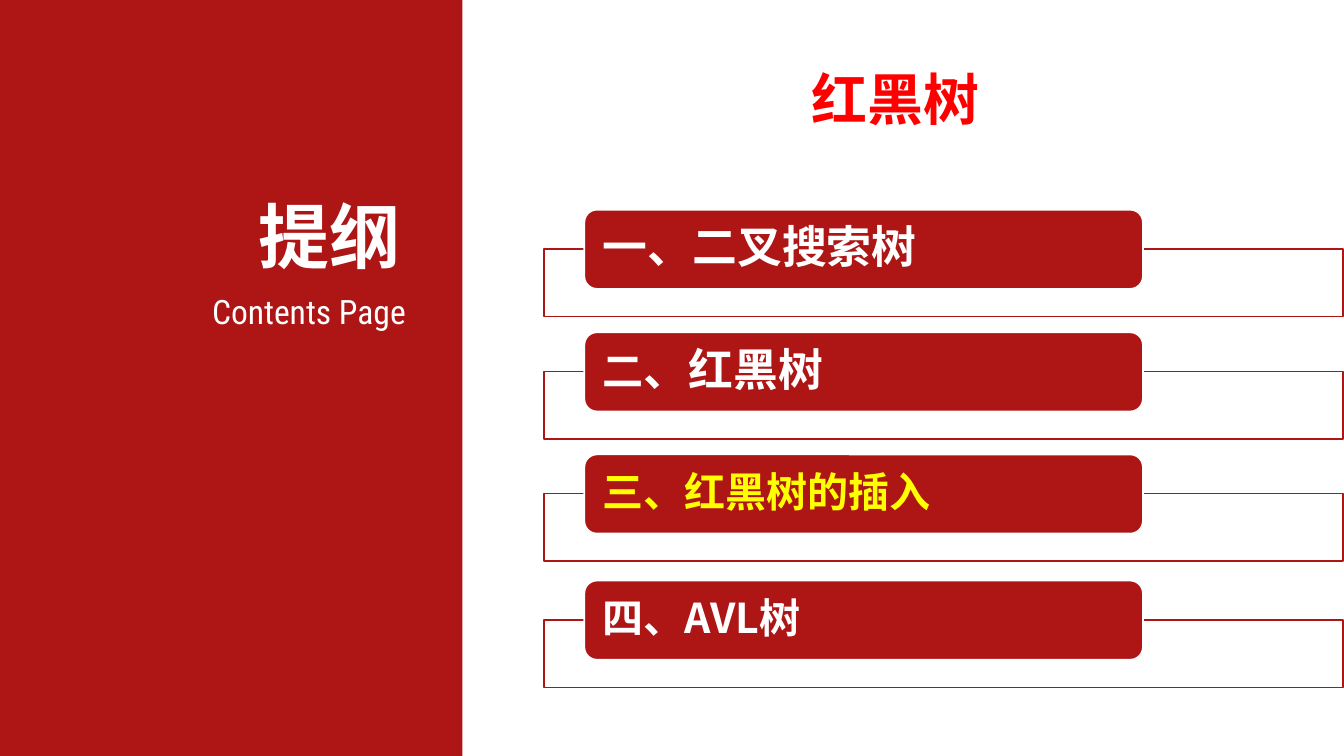
from pptx import Presentation
from pptx.dml.color import RGBColor
from pptx.enum.shapes import MSO_SHAPE
from pptx.enum.text import MSO_ANCHOR, MSO_AUTO_SIZE, PP_ALIGN
from pptx.oxml.ns import qn
from pptx.util import Pt
from lxml import etree

RECT, ROUNDED = MSO_SHAPE.RECTANGLE, MSO_SHAPE.ROUNDED_RECTANGLE
LEFT, CENTER, RIGHT = PP_ALIGN.LEFT, PP_ALIGN.CENTER, PP_ALIGN.RIGHT
TOP, MIDDLE = MSO_ANCHOR.TOP, MSO_ANCHOR.MIDDLE
NO_FIT = MSO_AUTO_SIZE.NONE

COLORS = {"red": "AE1616", "white": "FFFFFF", "title": "FF0000", "current": "FFFF00"}
CJK = "Noto Sans CJK SC"

# Bar top, then runs of (text, size, font, colour)
ITEMS = [
    (112.3, [("一、二叉搜索树", 24, "Karla", "white")]),
    (178, [("二", 22, CJK, "white"), ("、红黑树", 24, CJK, "white")]),
    (243.4, [("三、红黑树的插入", 22, CJK, "current")]),
    (311, [("四、AVL树", 22, CJK, "white")]),
]


def rgb(name):
    return RGBColor.from_string(COLORS[name])


def add_box(s, kind, box, fill, line=None):
    sp = s.shapes.add_shape(kind, *map(Pt, box))
    sp.shadow.inherit = False
    sp.fill.solid()
    sp.fill.fore_color.rgb = rgb(fill)
    if line:
        sp.line.color.rgb = rgb(line)
        sp.line.width = Pt(1)
    else:
        sp.line.fill.background()
    return sp


def set_alpha(sp, percent):
    color = sp.fill._xPr.find(qn("a:solidFill"))[0]
    etree.SubElement(color, qn("a:alpha")).set("val", str(percent * 1000))


def write(sp, runs, align, anchor, insets, bold=True, **spacing):
    tf = sp.text_frame
    dx, dy = map(Pt, insets)
    frame = {"word_wrap": True, "auto_size": NO_FIT, "vertical_anchor": anchor,
             "margin_left": dx, "margin_right": dx,
             "margin_top": dy, "margin_bottom": dy}
    for name, value in frame.items():
        setattr(tf, name, value)
    p = tf.paragraphs[0]
    for name, value in {"alignment": align, **spacing}.items():
        setattr(p, name, value)
    for text, size, font, color in runs:
        r = p.add_run()
        r.text = text
        for name, value in {"size": Pt(size), "name": font, "bold": bold}.items():
            setattr(r.font, name, value)
        r.font.color.rgb = rgb(color)


def add_label(s, box, run, bold):
    sp = s.shapes.add_textbox(*map(Pt, box))
    write(sp, [run], RIGHT, TOP, (5, 3), bold)


def add_title(s, box, run):
    sp = s.shapes.title
    sp.left, sp.top, sp.width, sp.height = map(Pt, box)
    write(sp, [run], CENTER, MIDDLE, (7.2, 3.6), line_spacing=1.5)


def add_item(s, top, runs):
    # Outlined frame behind a rounded bar
    frame = add_box(s, RECT, (291.6, top + 21, 428, 36.3), "white", "red")
    set_alpha(frame, 90)
    bar = add_box(s, ROUNDED, (313, top, 299.3, 42.5), "red", "white")
    bar.adjustments[0] = 0.16
    write(bar, runs, LEFT, MIDDLE, (8, 0), line_spacing=0.9, space_after=Pt(8))


def main():
    prs = Presentation()
    prs.slide_width, prs.slide_height = Pt(720), Pt(405)
    s = prs.slides.add_slide(prs.slide_layouts[5])

    # Left panel
    add_box(s, RECT, (0, 0, 247.7, 405), "red")
    add_label(s, (24.5, 152.6, 198, 27.4),
              ("Contents Page", 18, "Roboto Condensed", "white"), False)
    add_label(s, (79.2, 100, 140.4, 52), ("提纲", 38, "Arial", "white"), True)

    # Title and outline
    add_title(s, (247.7, 0, 464.4, 87), ("红黑树", 30, "Arial", "title"))
    for top, runs in ITEMS:
        add_item(s, top, runs)

    prs.save("out.pptx")


if __name__ == "__main__":
    main()
